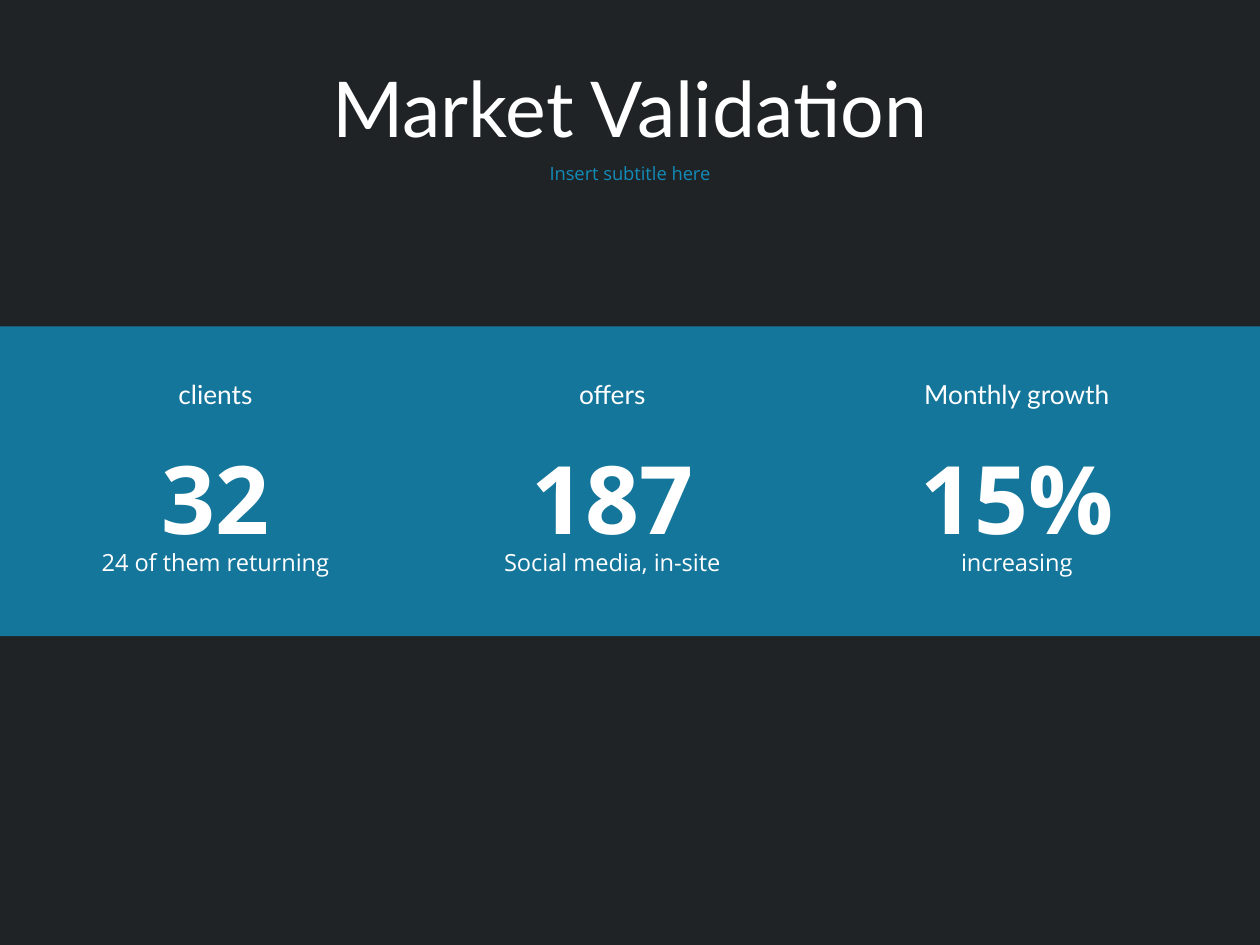
from lxml.etree import SubElement
from pptx import Presentation
from pptx.dml.color import RGBColor
from pptx.enum.shapes import MSO_SHAPE
from pptx.enum.text import MSO_ANCHOR, MSO_AUTO_SIZE, PP_ALIGN
from pptx.oxml.ns import qn
from pptx.util import Inches, Pt

TITLE = "Market Validation"
SUBTITLE = "Insert subtitle here"
# heading, figure, note, column centre, heading width
METRICS = [
    ("clients", "32", "24 of them returning", 1.71, 2.5),
    ("offers", "187", "Social media, in-site", 4.86, 2.5),
    ("Monthly growth", "15%", "increasing", 8.07, 2.94),
]
COLORS = {"background": "3F3F3F", "overlay": "181E20", "accent": "138BB9", "text": "FFFFFF"}
HEADING_FONT, BODY_FONT = "Lato", "Open Sans"
WIDTH, HEIGHT = 10, 7.5
METRIC_WIDTH = 2.2


def add_panel(slide, top, height, color, opacity):
    """Add a full-width translucent rectangle; opacity is in percent."""
    panel = slide.shapes.add_shape(
        MSO_SHAPE.RECTANGLE, 0, Inches(top), Inches(WIDTH), Inches(height))
    panel.shadow.inherit = False
    panel.line.fill.background()
    panel.fill.solid()
    panel.fill.fore_color.rgb = RGBColor.from_string(COLORS[color])
    color_element = panel.fill._xPr.find(qn("a:solidFill"))[0]
    SubElement(color_element, qn("a:alpha")).set("val", str(opacity * 1000))
    return panel


def place(shape, left, top, width, height):
    shape.left, shape.top = Inches(left), Inches(top)
    shape.width, shape.height = Inches(width), Inches(height)


def write(shape, text, font, size, color="text", bold=False, spacing=1.0,
          anchor=MSO_ANCHOR.TOP, auto_size=MSO_AUTO_SIZE.NONE):
    frame = shape.text_frame
    frame.word_wrap = True
    frame.vertical_anchor = anchor
    frame.auto_size = auto_size
    frame.text = text
    paragraph = frame.paragraphs[0]
    paragraph.alignment = PP_ALIGN.CENTER
    paragraph.line_spacing = spacing
    paragraph.font.name = font
    paragraph.font.size = Pt(size)
    paragraph.font.bold = bold
    paragraph.font.color.rgb = RGBColor.from_string(COLORS[color])
    return paragraph


def add_label(slide, center, top, width, height, text, font, size, **style):
    box = slide.shapes.add_textbox(
        Inches(center - width / 2), Inches(top), Inches(width), Inches(height))
    write(box, text, font, size, **style)


def main():
    presentation = Presentation()
    presentation.slide_width = Inches(WIDTH)
    presentation.slide_height = Inches(HEIGHT)
    slide = presentation.slides.add_slide(presentation.slide_layouts[1])
    slide.background.fill.solid()
    slide.background.fill.fore_color.rgb = RGBColor.from_string(COLORS["background"])

    overlay = add_panel(slide, 0, HEIGHT, "overlay", 82)
    slide.shapes._spTree.insert(2, overlay._element)  # behind the placeholders

    title, subtitle = slide.placeholders
    place(title, 0.69, 0.4, 8.62, 0.98)
    write(title, TITLE, HEADING_FONT, 44, spacing=0.9, anchor=MSO_ANCHOR.MIDDLE)
    place(subtitle, 0.69, 1.26, 8.62, 0.4)
    paragraph = write(subtitle, SUBTITLE, BODY_FONT, 10.5, color="accent", spacing=0.9)
    paragraph.space_before = Pt(10)
    properties = paragraph._p.get_or_add_pPr()
    properties.set("marL", "0")
    properties.set("indent", "0")
    bullet = SubElement(properties, qn("a:buNone"))
    properties.find(qn("a:defRPr")).addprevious(bullet)

    add_panel(slide, 2.59, 2.46, "accent", 80)
    loose = {"spacing": 1.5, "auto_size": MSO_AUTO_SIZE.SHAPE_TO_FIT_TEXT}
    for heading, figure, note, center, heading_width in METRICS:
        add_label(slide, center, 4.19, METRIC_WIDTH, 0.44, note, BODY_FONT, 13.5, **loose)
        add_label(slide, center, 2.94, heading_width, 0.38, heading, HEADING_FONT, 15,
                  anchor=MSO_ANCHOR.MIDDLE)
        add_label(slide, center, 2.99, METRIC_WIDTH, 1.46, figure, BODY_FONT, 54,
                  bold=True, **loose)

    presentation.save("out.pptx")


if __name__ == "__main__":
    main()
